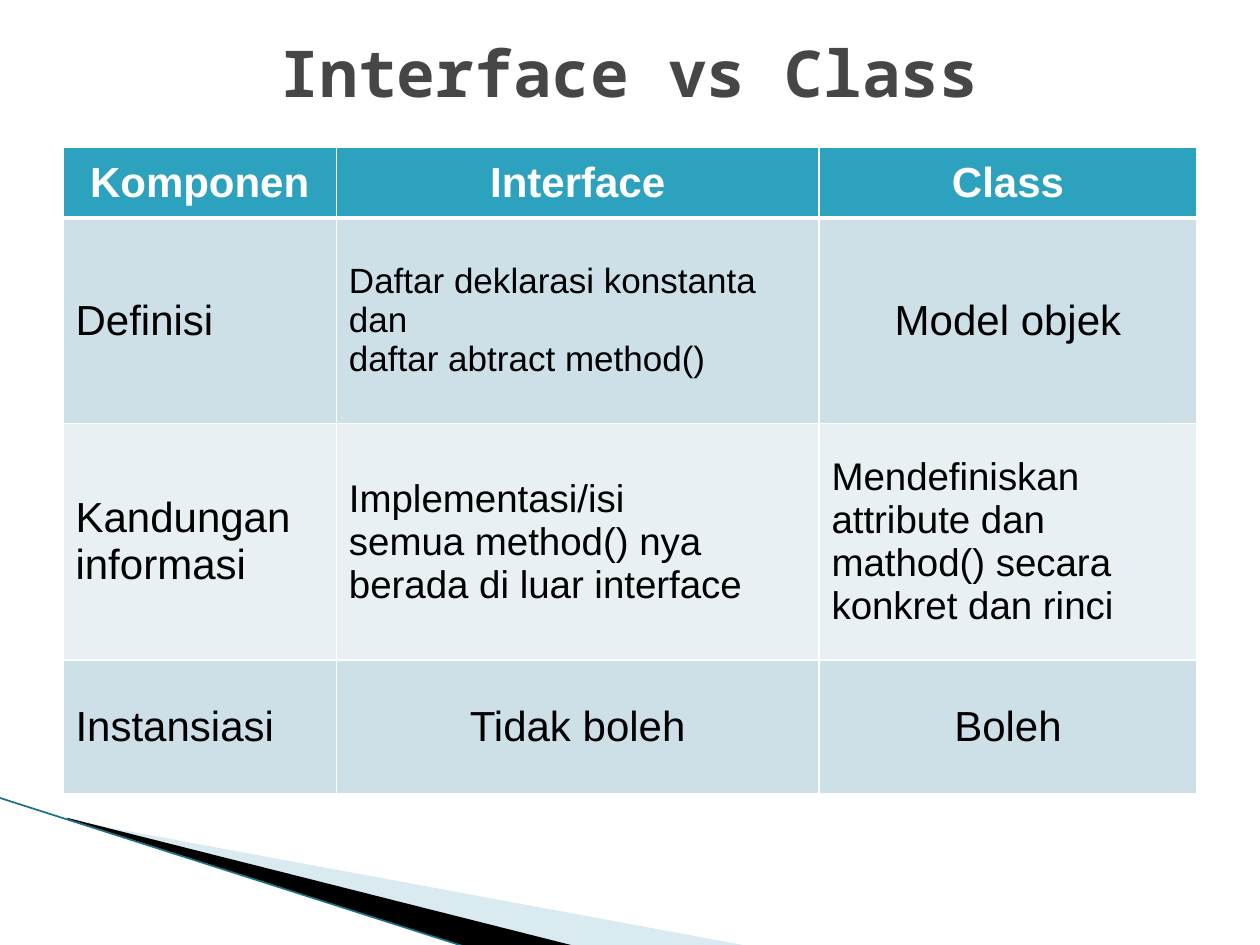
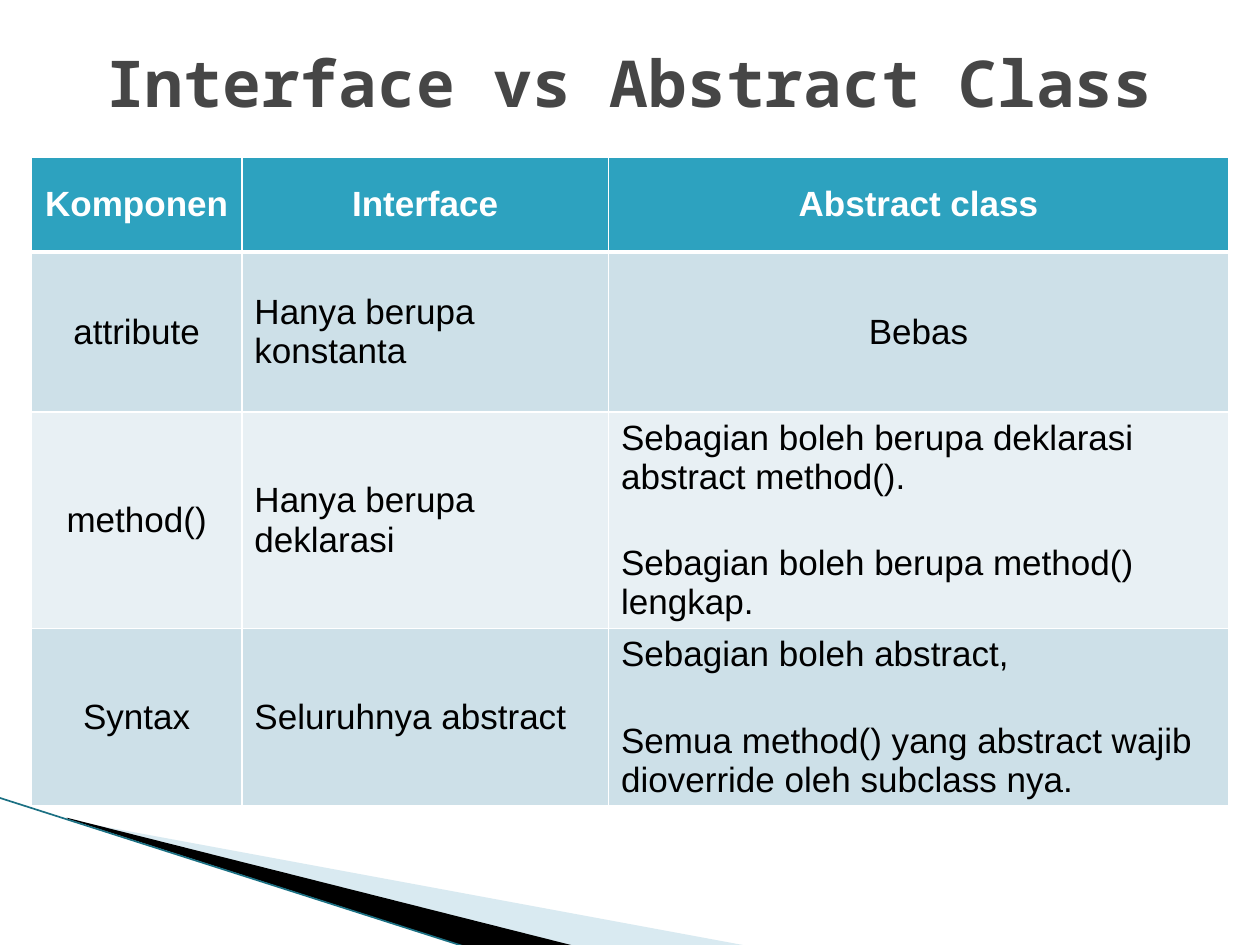
from lxml import etree
from pptx import Presentation
from pptx import util as u
from pptx.dml.color import RGBColor
from pptx.enum import shapes, text
from pptx.oxml.ns import qn

COLORS = {
    "title": "464646",
    "header": "2DA2BF",
    "odd": "CDE0E8",
    "even": "E8F0F4",
    "white": "FFFFFF",
    "black": "000000",
    "pale_band": "A0CBDC",
    "edge": "1B7083",
}
BODY_FONT = "Arial"
TITLE_FONT = "Noto Sans Mono"
WIDTH, HEIGHT = u.Inches(10), u.Inches(7.5)
COLUMNS, ROWS = 100, 75
LEFT, CENTER = text.PP_ALIGN.LEFT, text.PP_ALIGN.CENTER

PALE_BAND = [(5.5, 65.1), (59.5, 75.1), (45.6, 75.1), (5.5, 65)]
BLACK_BAND = [(5.3, 64.9), (45.7, 75.1), (37.2, 75.2), (5.4, 65)]
EDGE = [(-0.1, 63.3), (37.1, 75.2)]


def across(columns):
    return round(WIDTH * columns / COLUMNS)


def down(rows):
    return round(HEIGHT * rows / ROWS)


def color(name):
    return RGBColor.from_string(COLORS[name])


def write(frame, content, size, font=BODY_FONT, ink="black", bold=False, align=LEFT, gap=0):
    for index, line in enumerate(content.split("\n")):
        paragraph = frame.paragraphs[0] if index == 0 else frame.add_paragraph()
        paragraph.alignment = align
        paragraph.space_before = u.Pt(gap if index else 0)
        run = paragraph.add_run()
        run.text = line
        run.font.name = font
        run.font.size = u.Pt(size)
        run.font.bold = bold
        run.font.color.rgb = color(ink)


def add_band(slide, points, fill, opacity=100):
    corners = [(across(x), down(y)) for x, y in points]
    builder = slide.shapes.build_freeform(*corners[0], scale=1.0)
    builder.add_line_segments(corners[1:], close=True)
    band = builder.convert_to_shape()
    band.shadow.inherit = False
    band.line.fill.background()
    band.fill.solid()
    band.fill.fore_color.rgb = color(fill)
    if opacity < 100:
        tint = band.element.spPr.find(f"{qn('a:solidFill')}/{qn('a:srgbClr')}")
        etree.SubElement(tint, qn("a:alpha"), val=str(opacity * 1000))
    return band


def add_edge(slide, start, end):
    edge = slide.shapes.add_connector(
        shapes.MSO_CONNECTOR.STRAIGHT,
        across(start[0]), down(start[1]), across(end[0]), down(end[1]),
    )
    edge.line.color.rgb = color("edge")
    edge.line.width = u.Pt(0.95)
    etree.SubElement(edge.element.spPr, qn("a:effectLst"))
    return edge


def decorate_layout(layout, slide):
    decorations = [
        add_band(slide, PALE_BAND, "pale_band", opacity=40),
        add_band(slide, BLACK_BAND, "black"),
        add_edge(slide, *EDGE),
    ]
    for number, shape in enumerate(decorations, start=101):
        shape.element.xpath(".//p:cNvPr")[0].set("id", str(number))
        layout.element.cSld.spTree.append(shape.element)


def set_title(slide, content, height):
    title = slide.shapes.title
    title.left, title.top = across(5), down(3)
    title.width, title.height = across(90), down(height)
    frame = title.text_frame
    frame.word_wrap = True
    frame.auto_size = text.MSO_AUTO_SIZE.NONE
    frame.vertical_anchor = text.MSO_ANCHOR.MIDDLE
    write(frame, content, 36.9, font=TITLE_FONT, ink="title", bold=True, align=CENTER)


def set_borders(cell, row):
    properties = cell._tc.get_or_add_tcPr()
    widths = {"L": 1, "R": 1, "T": 3 if row == 1 else 1, "B": 3 if row == 0 else 1}
    for side, width in widths.items():
        line = etree.SubElement(properties, qn(f"a:ln{side}"), w=str(u.Pt(width)))
        fill = etree.SubElement(line, qn("a:solidFill"))
        etree.SubElement(fill, qn("a:srgbClr"), val=COLORS["white"])


def add_comparison(slide, left, top, widths, heights, header, body, size):
    table = slide.shapes.add_table(
        len(heights), len(widths),
        across(left), down(top), across(sum(widths)), down(sum(heights)),
    ).table
    for column, width in zip(table.columns, widths):
        column.width = across(width)
    for row, height in zip(table.rows, heights):
        row.height = down(height)
    heading = {"ink": "white", "bold": True, "align": CENTER}
    content = [[(label, heading) for label in header]] + body
    for row, entries in enumerate(content):
        fill = "header" if row == 0 else "odd" if row % 2 else "even"
        for column, (label, style) in enumerate(entries):
            cell = table.cell(row, column)
            set_borders(cell, row)
            cell.fill.solid()
            cell.fill.fore_color.rgb = color(fill)
            cell.vertical_anchor = text.MSO_ANCHOR.MIDDLE
            write(cell.text_frame, label, **{"size": size, **style})


def fill_class_slide(slide):
    set_title(slide, "Interface vs Class", 5.3)
    plain, centered = {}, {"align": CENTER}
    add_comparison(
        slide, 5, 11.7, [21.7, 38.3, 30], [5.6, 16.3, 18.8, 10.6],
        ["Komponen", "Interface", "Class"],
        [
            [("Definisi", plain),
             ("Daftar deklarasi konstanta dan\ndaftar abtract method()", {"size": 20}),
             ("Model objek", centered)],
            [("Kandungan informasi", plain),
             ("Implementasi/isi\nsemua method() nya berada di luar interface", {"size": 22}),
             ("Mendefiniskan attribute dan mathod() secara konkret dan rinci", {"size": 22})],
            [("Instansiasi", plain), ("Tidak boleh", centered), ("Boleh", centered)],
        ],
        size=24,
    )


def fill_abstract_slide(slide):
    set_title(slide, "Interface vs Abstract Class", 7)
    plain, centered, spaced = {}, {"align": CENTER}, {"gap": 27}
    add_comparison(
        slide, 2.5, 12.5, [16.7, 29.1, 49.2], [7.5, 12.7, 17.2, 14],
        ["Komponen", "Interface", "Abstract class"],
        [
            [("attribute", centered), ("Hanya berupa konstanta", plain), ("Bebas", centered)],
            [("method()", centered),
             ("Hanya berupa deklarasi", plain),
             ("Sebagian boleh berupa deklarasi abstract method().\n"
              "Sebagian boleh berupa method() lengkap.", spaced)],
            [("Syntax", centered),
             ("Seluruhnya abstract", plain),
             ("Sebagian boleh abstract,\n"
              "Semua method() yang abstract wajib dioverride oleh subclass nya.", spaced)],
        ],
        size=20,
    )


def main():
    presentation = Presentation()
    presentation.slide_width, presentation.slide_height = WIDTH, HEIGHT
    layout = presentation.slide_layouts.get_by_name("Title Only")
    class_slide = presentation.slides.add_slide(layout)
    abstract_slide = presentation.slides.add_slide(layout)
    decorate_layout(layout, class_slide)
    fill_class_slide(class_slide)
    fill_abstract_slide(abstract_slide)
    presentation.save("out.pptx")


if __name__ == "__main__":
    main()
